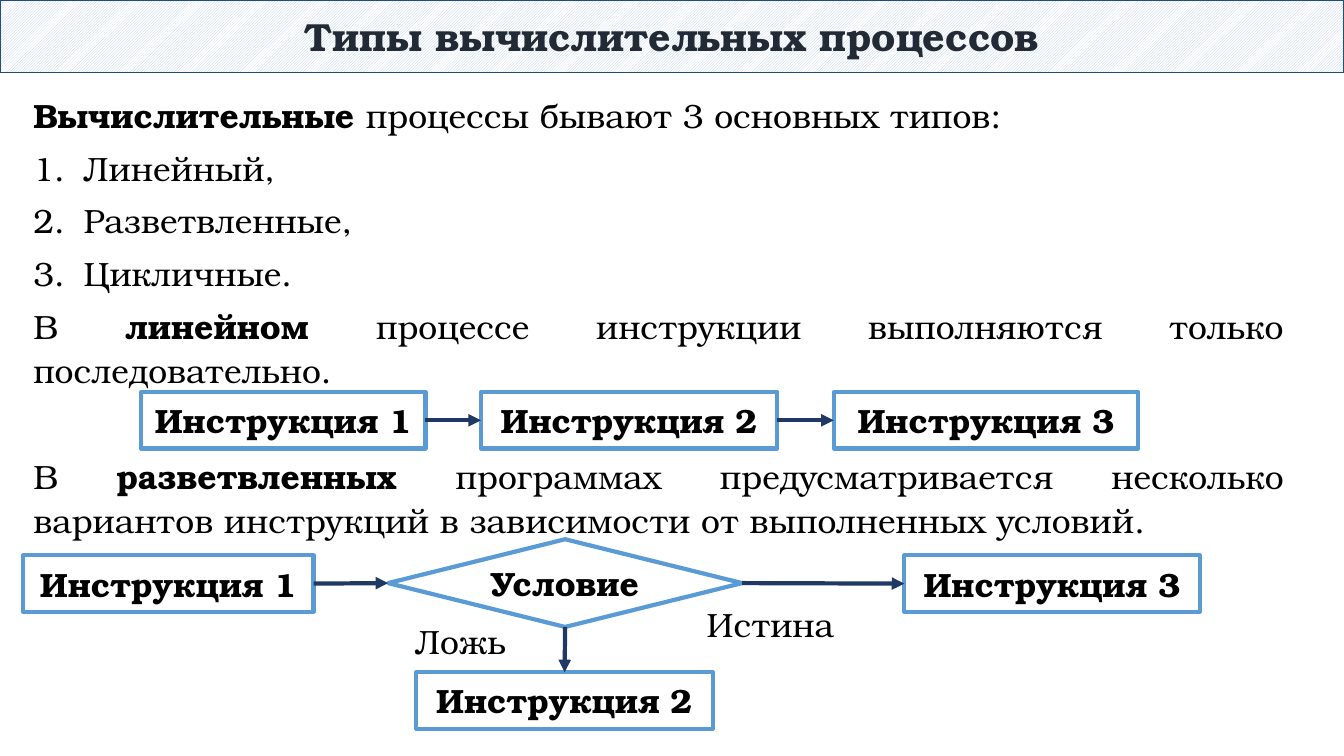
from lxml import etree
from pptx import Presentation
from pptx.dml.color import RGBColor
from pptx.enum.dml import MSO_PATTERN
from pptx.enum.shapes import MSO_CONNECTOR, MSO_SHAPE
from pptx.enum.text import MSO_ANCHOR, MSO_AUTO_SIZE, PP_ALIGN
from pptx.oxml.ns import qn
from pptx.util import Inches, Pt

RECT, RHOMB = MSO_SHAPE.RECTANGLE, MSO_SHAPE.FLOWCHART_DECISION
STRAIGHT = MSO_CONNECTOR.STRAIGHT
HATCH = MSO_PATTERN.LIGHT_UPWARD_DIAGONAL
MIDDLE, TOP = MSO_ANCHOR.MIDDLE, MSO_ANCHOR.TOP
CENTER, JUSTIFY = PP_ALIGN.CENTER, PP_ALIGN.JUSTIFY
FIXED = MSO_AUTO_SIZE.NONE
LEFT, BOTTOM, RIGHT, UPPER = 1, 2, 3, 0

FONT = "TeX Gyre Bonum"
BLACK, WHITE, BLUE, NAVY = "000000", "FFFFFF", "5B9BD5", "203864"
BOX_H = 0.56

INTRO = [("Вычислительные ", True), ("процессы бывают 3 основных типов:", False)]
TYPES = ["Линейный,", "Разветвленные,", "Цикличные."]
LINEAR = [("В", False), (" линейном ", True),
          ("процессе инструкции выполняются только последовательно.", False)]
BRANCH = [("В ", False), ("разветвленных ", True),
          ("программах предусматривается несколько вариантов инструкций "
           "в зависимости от выполненных условий.", False)]


def color(code):
    """Turn a hex string into a colour."""
    return RGBColor.from_string(code)


def place(shape, left, top, width, height):
    """Move and size a shape, in inches."""
    shape.left, shape.top = Inches(left), Inches(top)
    shape.width, shape.height = Inches(width), Inches(height)


def style(para, size=24, code=BLACK, bold=None, align=CENTER):
    """Set the font and alignment of a paragraph."""
    para.alignment = align
    para.font.name, para.font.size = FONT, Pt(size)
    para.font.bold, para.font.color.rgb = bold, color(code)


def space(para, before=0):
    """Give a justified paragraph its line and paragraph spacing."""
    para.line_spacing = 1.1
    para.space_before, para.space_after = Pt(before), Pt(6)


def indent(para, numbered):
    """Number a paragraph with a hanging indent, or clear its bullet."""
    props = para._p.get_or_add_pPr()
    step = Inches(0.5) if numbered else 0
    props.set("marL", str(step))
    props.set("indent", str(-step))
    if numbered:
        etree.SubElement(props, qn("a:buFont"), typeface="+mj-lt")
        etree.SubElement(props, qn("a:buAutoNum"), type="arabicPeriod")
    else:
        etree.SubElement(props, qn("a:buNone"))


def add_title(slide):
    """Turn the title placeholder into the hatched banner."""
    title = slide.shapes.title
    place(title, 0, 0, 13.33, 0.72)
    title.fill.patterned()
    title.fill.pattern = HATCH
    title.fill.fore_color.rgb = color("B4C7E7")
    title.fill.back_color.rgb = color(WHITE)
    title.line.color.rgb, title.line.width = color("1F4E79"), Pt(1.25)
    frame = title.text_frame
    frame.text = "Типы вычислительных процессов"
    frame.auto_size, frame.vertical_anchor = FIXED, MIDDLE
    frame.margin_left = frame.margin_right = Inches(0.02)
    frame.margin_top = frame.margin_bottom = Inches(0.02)
    style(frame.paragraphs[0], 28, "222A35", True)


def add_body(slide):
    """Fill the body placeholder with the text and the numbered types."""
    body = slide.placeholders[1]
    place(body, 0.23, 0.85, 12.6, 4.6)
    frame = body.text_frame
    frame.auto_size, frame.vertical_anchor = FIXED, TOP
    rows = [(INTRO, False, 0)]
    rows += [([(name, False)], True, 0) for name in TYPES]
    rows += [(LINEAR, False, 0), (BRANCH, False, 38)]
    for i, (parts, numbered, before) in enumerate(rows):
        para = frame.add_paragraph() if i else frame.paragraphs[0]
        style(para, align=JUSTIFY)
        space(para, before)
        indent(para, numbered)
        for text, bold in parts:
            run = para.add_run()
            run.text, run.font.bold = text, bold


def add_box(slide, text, left, top, width, height=BOX_H, kind=RECT):
    """Add a white flowchart block with a bold label."""
    box = slide.shapes.add_shape(kind, 0, 0, 0, 0)
    place(box, left, top, width, height)
    box.shadow.inherit = False
    box.fill.solid()
    box.fill.fore_color.rgb = color(WHITE)
    box.line.color.rgb, box.line.width = color(BLUE), Pt(3)
    frame = box.text_frame
    frame.text, frame.vertical_anchor = text, MIDDLE
    style(frame.paragraphs[0], bold=True)
    return box


def add_arrow(slide, start, end, out=RIGHT, into=LEFT):
    """Join two blocks with an arrow."""
    arrow = slide.shapes.add_connector(STRAIGHT, 0, 0, 0, 0)
    arrow.begin_connect(start, out)
    arrow.end_connect(end, into)
    arrow.line.color.rgb, arrow.line.width = color(NAVY), Pt(3)
    etree.SubElement(arrow.line._get_or_add_ln(), qn("a:tailEnd"), type="triangle")
    etree.SubElement(arrow._element.spPr, qn("a:effectLst"))


def add_label(slide, text, left, top, width):
    """Add a plain label beside a branch."""
    label = slide.shapes.add_textbox(0, 0, 0, 0)
    place(label, left, top, width, 0.55)
    frame = label.text_frame
    frame.word_wrap, frame.text = True, text
    style(frame.paragraphs[0], align=JUSTIFY)
    space(frame.paragraphs[0])


def add_chain(slide):
    """Draw the linear process."""
    spans = [(1.4, 2.82), (4.77, 2.94), (8.27, 3.02)]
    boxes = [add_box(slide, f"Инструкция {i}", left, 3.89, width)
             for i, (left, width) in enumerate(spans, 1)]
    for start, end in zip(boxes, boxes[1:]):
        add_arrow(slide, start, end)


def add_fork(slide):
    """Draw the branched process."""
    first = add_box(slide, "Инструкция 1", 0.23, 5.51, 2.88)
    test = add_box(slide, "Условие", 3.85, 5.35, 3.51, 0.87, RHOMB)
    other = add_box(slide, "Инструкция 2", 4.13, 6.67, 2.94)
    third = add_box(slide, "Инструкция 3", 8.97, 5.51, 2.93)
    add_arrow(slide, first, test)
    add_arrow(slide, test, third)
    add_arrow(slide, test, other, BOTTOM, UPPER)
    add_label(slide, "Истина", 6.91, 5.9, 1.61)
    add_label(slide, "Ложь", 4.02, 6.07, 1.27)


def main():
    """Build the slide and save it."""
    deck = Presentation()
    deck.slide_width, deck.slide_height = Inches(13.33), Inches(7.5)
    slide = deck.slides.add_slide(deck.slide_layouts[1])
    add_title(slide)
    add_body(slide)
    add_chain(slide)
    add_fork(slide)
    deck.save("out.pptx")


if __name__ == "__main__":
    main()
